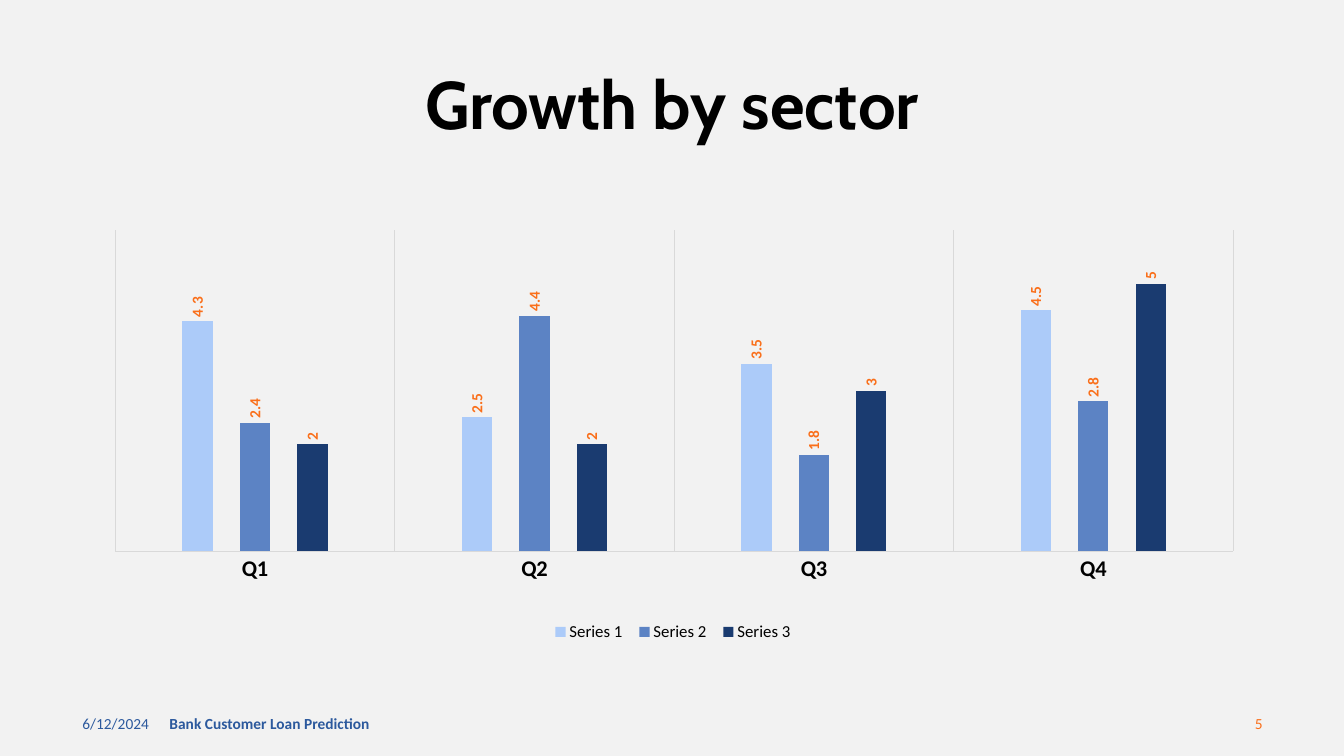
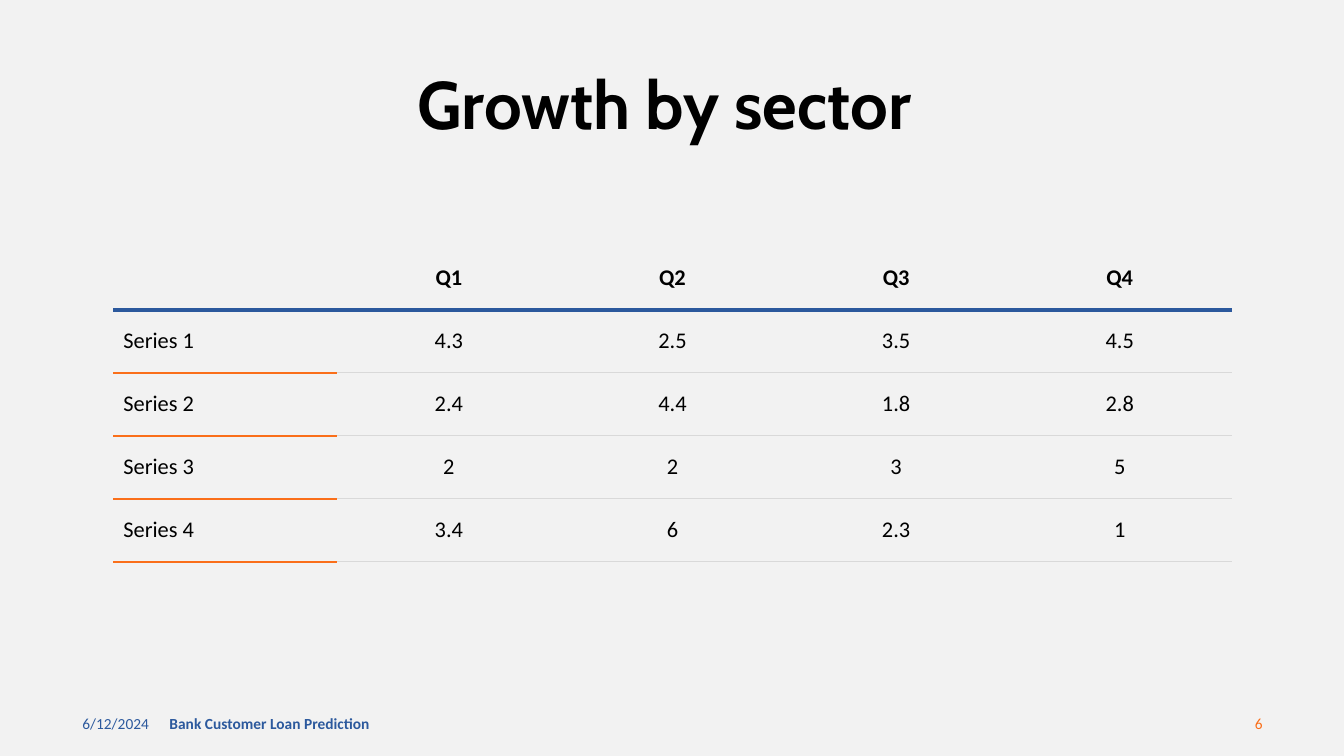
from dataclasses import dataclass
from typing import Any

import pptx
import pptx.chart.data
import pptx.dml.color
import pptx.enum.chart
import pptx.enum.text
import pptx.oxml
import pptx.oxml.ns
import pptx.util

RGBColor = pptx.dml.color.RGBColor
Align = pptx.enum.text.PP_ALIGN
Anchor = pptx.enum.text.MSO_ANCHOR

BACKGROUND = RGBColor(0xF2, 0xF2, 0xF2)
BLACK = RGBColor(0x00, 0x00, 0x00)
BLUE = RGBColor(0x2C, 0x59, 0x9D)
ORANGE = RGBColor(0xFA, 0x6F, 0x1A)
GRAY = RGBColor(0xD9, 0xD9, 0xD9)
SERIES_COLORS = [
    RGBColor(0xAC, 0xCB, 0xF9),
    RGBColor(0x5C, 0x83, 0xC4),
    RGBColor(0x1A, 0x3B, 0x70),
]

EMU_PER_PX = 9525
NO_STYLE = "{2D5ABB26-0587-4C30-8999-92F81FD0307C}"

TITLE = {"name": "Cabin", "size": 48, "bold": True, "color": BLACK}
CHART = {"name": "Calibri", "size": 10, "color": BLACK}
LEGEND = CHART | {"size": 12}
CATEGORY = CHART | {"size": 16, "bold": True}
LABEL = {"name": "Calibri", "size": 11, "bold": True, "color": ORANGE}
CELL = {"name": "Calibri", "size": 16, "bold": False, "color": BLACK}
HEADER = CELL | {"bold": True}
FOOTER = {"name": "Calibri", "size": 11, "bold": False, "color": BLUE}

QUARTERS = ["Q1", "Q2", "Q3", "Q4"]
GROWTH = {
    "Series 1": [4.3, 2.5, 3.5, 4.5],
    "Series 2": [2.4, 4.4, 1.8, 2.8],
    "Series 3": [2, 2, 3, 5],
    "Series 4": [3.4, 6, 2.3, 1],
}


@dataclass(frozen=True)
class Box:
    left: int
    top: int
    width: int
    height: int

    def emu(self) -> list[int]:
        return [px(n) for n in (self.left, self.top, self.width, self.height)]


@dataclass(frozen=True)
class FooterItem:
    box: Box
    text: str
    style: dict[str, Any]
    align: Any = Align.LEFT


TITLE_BOX = Box(88, 66, 1104, 74)
CHART_BOX = Box(83, 205, 1116, 429)
TABLE_BOX = Box(108, 235, 1065, 360)


def px(n: int) -> int:
    return pptx.util.Emu(n * EMU_PER_PX)


def format_font(font: Any, style: dict[str, Any]) -> None:
    for key, value in style.items():
        if key == "color":
            font.color.rgb = value
        else:
            setattr(font, key, pptx.util.Pt(value) if key == "size" else value)


def write(tf: Any, text: str, style: dict[str, Any], align: Any) -> Any:
    p = tf.paragraphs[0]
    p.alignment = align
    r = p.add_run()
    r.text = text
    format_font(r.font, style)
    return p


def add_footer(s: Any, number: int) -> None:
    items = [
        FooterItem(Box(69, 670, 288, 38), "6/12/2024", FOOTER),
        FooterItem(Box(152, 670, 432, 38), "Bank Customer Loan Prediction",
                   FOOTER | {"bold": True}),
        FooterItem(Box(924, 670, 288, 38), str(number),
                   FOOTER | {"color": ORANGE}, Align.RIGHT),
    ]
    for item in items:
        tf = s.shapes.add_textbox(*item.box.emu()).text_frame
        tf.word_wrap = True
        tf.vertical_anchor = Anchor.MIDDLE
        write(tf, item.text, item.style, item.align)


def add_slide(prs: Any, title: str, number: int) -> Any:
    s = prs.slides.add_slide(prs.slide_layouts[5])
    sp = s.shapes.title
    sp.left, sp.top, sp.width, sp.height = TITLE_BOX.emu()
    tf = sp.text_frame
    tf.auto_size = pptx.enum.text.MSO_AUTO_SIZE.NONE
    tf.vertical_anchor = Anchor.MIDDLE
    write(tf, title, TITLE, Align.CENTER).line_spacing = 0.9
    add_footer(s, number)
    return s


def set_layout(parent: Any, index: int, frame: dict[str, float],
               inner: bool = False) -> None:
    for old in parent.findall(pptx.oxml.ns.qn("c:layout")):
        parent.remove(old)
    target = '<c:layoutTarget val="inner"/>' if inner else ""
    modes = "".join(f'<c:{k}Mode val="edge"/>' for k in "xy")
    sizes = "".join(f'<c:{k} val="{v}"/>' for k, v in frame.items())
    parent.insert(index, pptx.oxml.parse_xml(
        f'<c:layout {pptx.oxml.ns.nsdecls("c")}><c:manualLayout>'
        f"{target}{modes}{sizes}</c:manualLayout></c:layout>"))


def format_axes(chart: Any) -> None:
    enums = pptx.enum.chart
    value = chart.value_axis
    settings = {"minimum_scale": 0, "maximum_scale": 6,
                "has_major_gridlines": False, "visible": False}
    for key, setting in settings.items():
        setattr(value, key, setting)
    category = chart.category_axis
    category.major_tick_mark = enums.XL_TICK_MARK.NONE
    category.has_major_gridlines = True
    format_font(category.tick_labels.font, CATEGORY)
    for line in (category.format.line, category.major_gridlines.format.line):
        line.color.rgb = GRAY
        line.width = pptx.util.Pt(0.75)


def add_growth_chart(s: Any) -> None:
    enums = pptx.enum.chart
    data = pptx.chart.data.CategoryChartData()
    data.categories = QUARTERS
    for name in list(GROWTH)[:3]:
        data.add_series(name, GROWTH[name])
    chart = s.shapes.add_chart(enums.XL_CHART_TYPE.COLUMN_CLUSTERED,
                               *CHART_BOX.emu(), data).chart
    chart.has_title = False
    format_font(chart.font, CHART)
    format_axes(chart)

    plot = chart.plots[0]
    for key, setting in {"gap_width": 444, "overlap": -90,
                         "vary_by_categories": False}.items():
        setattr(plot, key, setting)
    for series, color in zip(plot.series, SERIES_COLORS):
        series.invert_if_negative = False
        series.format.fill.solid()
        series.format.fill.fore_color.rgb = color
        labels = series.data_labels
        labels.show_value = True
        labels.position = enums.XL_LABEL_POSITION.OUTSIDE_END
        format_font(labels.font, LABEL)
        body = labels._element.find(".//" + pptx.oxml.ns.qn("a:bodyPr"))
        body.set("rot", "-5400000")
        body.set("vert", "horz")

    chart.has_legend = True
    legend = chart.legend
    legend.position = enums.XL_LEGEND_POSITION.BOTTOM
    legend.include_in_layout = False
    format_font(legend.font, LEGEND)
    set_layout(legend._element, 1, {"x": 0.39, "y": 0.89, "w": 0.22, "h": 0.07})
    area = chart._chartSpace.chart.plotArea
    set_layout(area, 0, {"x": 0.024, "y": 0.033, "w": 0.954, "h": 0.713}, True)


def add_bottom_border(cell: Any, color: RGBColor, width: float) -> None:
    cell._tc.get_or_add_tcPr().append(pptx.oxml.parse_xml(
        f'<a:lnB {pptx.oxml.ns.nsdecls("a")} w="{pptx.util.Pt(width)}">'
        f'<a:solidFill><a:srgbClr val="{color}"/></a:solidFill></a:lnB>'))


def add_growth_table(s: Any) -> None:
    rows = [["", *QUARTERS]]
    rows += [[name, *map(str, values)] for name, values in GROWTH.items()]
    rows.append([""] * 5)
    table = s.shapes.add_table(len(rows), 5, *TABLE_BOX.emu()).table
    table._tbl.tblPr.find(pptx.oxml.ns.qn("a:tableStyleId")).text = NO_STYLE
    table.first_row = table.horz_banding = False
    for i, row in enumerate(rows):
        for j, text in enumerate(row):
            cell = table.cell(i, j)
            cell.vertical_anchor = Anchor.MIDDLE
            if text:
                write(cell.text_frame, text, CELL if i else HEADER,
                      Align.CENTER if j else Align.LEFT)
            if i == 0:
                add_bottom_border(cell, BLUE, 3)
            elif i < len(rows) - 1:
                add_bottom_border(cell, *((GRAY, 1) if j else (ORANGE, 1.5)))
            cell.fill.background()


def main() -> None:
    prs = pptx.Presentation()
    prs.slide_width, prs.slide_height = px(1280), px(720)
    fill = prs.slide_master.background.fill
    fill.solid()
    fill.fore_color.rgb = BACKGROUND
    add_growth_chart(add_slide(prs, "Growth by sector", 5))
    add_growth_table(add_slide(prs, "Growth by sector ", 6))
    prs.save("out.pptx")


if __name__ == "__main__":
    main()
